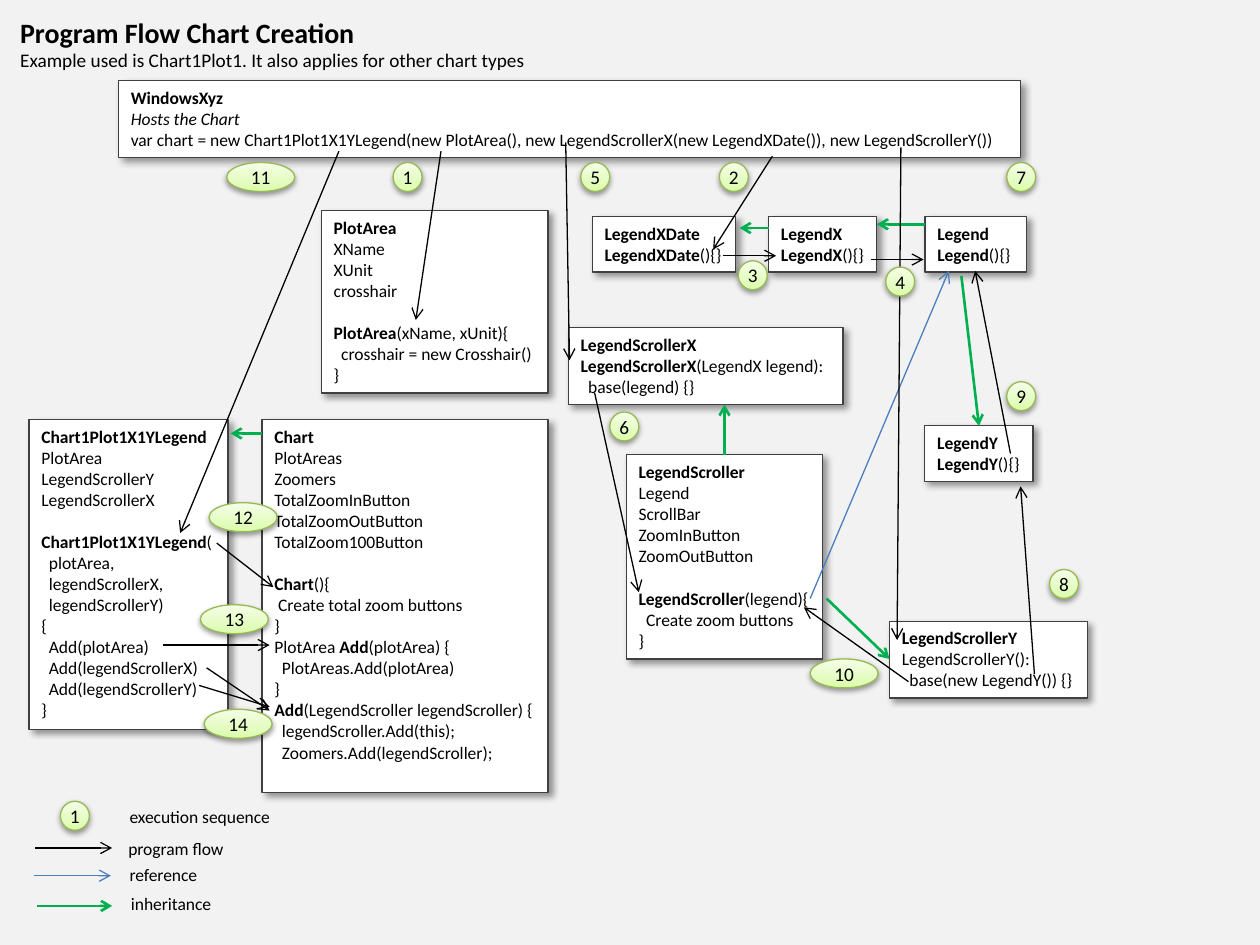
from typing import NamedTuple

from lxml import etree
from pptx import Presentation
from pptx import util as u
from pptx.dml.color import RGBColor
from pptx.enum import shapes, text
from pptx.oxml import ns

BACKGROUND = RGBColor(0xF2, 0xF2, 0xF2)
WHITE = RGBColor(0xFF, 0xFF, 0xFF)
BLACK = RGBColor(0x00, 0x00, 0x00)
BORDER = RGBColor(0x40, 0x40, 0x40)
BLUE = RGBColor(0x4B, 0x7E, 0xBC)
GREEN = RGBColor(0x00, 0xB0, 0x50)
BADGE_LINE = RGBColor(0x98, 0xB9, 0x55)
BADGE_STOPS = (
    (0, RGBColor(0xDA, 0xFD, 0xA7)),
    (35, RGBColor(0xE4, 0xFC, 0xC2)),
    (100, RGBColor(0xF5, 0xFF, 0xE7)),
)
FONT = "Calibri"
SPACE_WIDTH = 0.03
BADGE_HEIGHT = 0.23


class Box(NamedTuple):
    left: float
    top: float
    width: float
    height: float
    lines: str


class Kind(NamedTuple):
    color: RGBColor
    width: float


class Arrow(NamedTuple):
    kind: Kind
    x1: float
    y1: float
    x2: float
    y2: float


class Badge(NamedTuple):
    number: int
    left: float
    top: float


class Shadow(NamedTuple):
    alpha: int
    blur: float
    distance: float
    angle: int


FLOW = Kind(BLACK, 0.75)
REFERENCE = Kind(BLUE, 0.75)
INHERITANCE = Kind(GREEN, 1.5)
BOX_SHADOW = Shadow(40, 4, 3, 45)
BADGE_SHADOW = Shadow(38, 3.1, 1.6, 90)

# fmt: off
BOXES = [
    Box(2.08, 3.33, 2.27, 2.96, """*Chart*
PlotAreas
Zoomers
TotalZoomInButton
TotalZoomOutButton
TotalZoom100Button

*Chart*(){
 Create total zoom buttons
}
PlotArea *Add*(plotArea) {
  PlotAreas.Add(plotArea)
}
*Add*(LegendScroller legendScroller) {
  legendScroller.Add(this);
  Zoomers.Add(legendScroller);"""),
    Box(2.55, 1.67, 1.8, 1.45, """*PlotArea*
XName
XUnit
crosshair

*PlotArea*(xName, xUnit){
  crosshair = new Crosshair()
}"""),
    Box(6.1, 1.72, 0.86, 0.44, "*LegendX*\n*LegendX*(){}"),
    Box(4.7, 1.72, 1.14, 0.44, "*LegendXDate*\n*LegendXDate*(){}"),
    Box(4.97, 3.61, 1.56, 1.62, """*LegendScroller*
Legend
ScrollBar
ZoomInButton
ZoomOutButton

*LegendScroller*(legend){
  Create zoom buttons
}"""),
    Box(4.51, 2.6, 2.18, 0.61, """*LegendScrollerX*
*LegendScrollerX*(LegendX legend):
  base(legend) {}"""),
    Box(0.23, 3.33, 1.58, 2.46, """*Chart1Plot1X1YLegend*
PlotArea
LegendScrollerY
LegendScrollerX

*Chart1Plot1X1YLegend*(
  plotArea,
  legendScrollerX,
  legendScrollerY)
{
  Add(plotArea)
  Add(legendScrollerX)
  Add(legendScrollerY)
}"""),
    Box(0.94, 0.64, 7.16, 0.61, """*WindowsXyz*
_Hosts the Chart
var chart = new Chart1Plot1X1YLegend(new PlotArea(), new LegendScrollerX(new LegendXDate()), new LegendScrollerY())"""),
    Box(7.34, 1.72, 0.81, 0.44, "*Legend*\n*Legend*(){}"),
    Box(7.06, 4.93, 1.57, 0.61, """*LegendScrollerY*
LegendScrollerY():
  base(new LegendY()) {}"""),
    Box(7.34, 3.38, 0.86, 0.44, "*LegendY*\n*LegendY*(){}"),
]
KEY = [
    Box(0.93, 6.35, 1.34, 0.27, "execution sequence"),
    Box(0.92, 6.6, 1, 0.27, "program flow"),
    Box(0.93, 6.81, 0.76, 0.27, "reference"),
    Box(0.94, 7.04, 0.85, 0.27, "inheritance"),
]
ARROWS = [
    Arrow(FLOW, 0.28, 6.73, 0.89, 6.73), Arrow(REFERENCE, 0.27, 6.95, 0.88, 6.95),
    Arrow(INHERITANCE, 0.29, 7.19, 0.89, 7.19), Arrow(INHERITANCE, 2.08, 3.44, 1.83, 3.44),
    Arrow(FLOW, 2.69, 1.2, 1.43, 4.23), Arrow(FLOW, 3.5, 1.2, 3.3, 2.54),
    Arrow(INHERITANCE, 6.1, 1.81, 5.87, 1.81), Arrow(INHERITANCE, 7.34, 1.78, 6.96, 1.78),
    Arrow(FLOW, 1.72, 4.31, 2.17, 4.66), Arrow(FLOW, 5.74, 2.03, 6.16, 2.03),
    Arrow(FLOW, 6.91, 2.06, 7.33, 2.06), Arrow(FLOW, 6.13, 1.24, 5.66, 1.98),
    Arrow(FLOW, 4.49, 1.13, 4.52, 2.86), Arrow(REFERENCE, 6.43, 4.75, 7.53, 2.15),
    Arrow(FLOW, 4.72, 3.12, 5.07, 4.7), Arrow(INHERITANCE, 7.63, 2.19, 7.77, 3.38),
    Arrow(FLOW, 8.21, 5.35, 8.1, 3.86), Arrow(FLOW, 7.15, 1.17, 7.12, 5.08),
    Arrow(FLOW, 7.21, 5.41, 6.38, 4.82), Arrow(INHERITANCE, 5.75, 3.61, 5.75, 3.21),
    Arrow(INHERITANCE, 6.56, 4.75, 7.06, 5.23), Arrow(FLOW, 8.02, 3.6, 7.74, 2.15),
    Arrow(FLOW, 1.29, 5.12, 2.14, 5.12), Arrow(FLOW, 1.64, 5.3, 2.14, 5.64),
    Arrow(FLOW, 1.58, 5.44, 2.14, 5.61),
]
BADGES = [
    Badge(1, 3.12, 1.29), Badge(2, 5.71, 1.29), Badge(3, 5.86, 2.07), Badge(4, 7.03, 2.12),
    Badge(5, 4.61, 1.29), Badge(6, 4.84, 3.27), Badge(7, 7.99, 1.29), Badge(8, 8.33, 4.52),
    Badge(9, 7.99, 3.03), Badge(10, 6.43, 5.23), Badge(11, 1.8, 1.29), Badge(12, 1.66, 3.99),
    Badge(13, 1.59, 4.8), Badge(14, 1.62, 5.63), Badge(1, 0.48, 6.36),
]
# fmt: on


def style_font(font, size: float, bold: bool = False, italic: bool = False) -> None:
    font.name, font.size = FONT, u.Pt(size)
    font.bold, font.italic = bold, italic
    font.color.rgb = BLACK


def write_lines(tf, lines: str) -> None:
    tf.word_wrap = False
    tf.auto_size = text.MSO_AUTO_SIZE.NONE
    tf.vertical_anchor = text.MSO_ANCHOR.TOP
    p, gap = tf.paragraphs[0], False
    for i, line in enumerate(lines.split("\n")):
        if not line:
            gap = True
            continue
        if i:
            p = tf.add_paragraph()
        p.alignment = text.PP_ALIGN.LEFT
        if gap:
            p.space_before, gap = u.Pt(12.2), False
        body = line.lstrip(" ")
        if body != line:
            indent = u.Inches(SPACE_WIDTH * (len(line) - len(body)))
            p._p.get_or_add_pPr().set("marL", str(indent))
        for j, part in enumerate(body.lstrip("_").split("*")):
            if part:
                r = p.add_run()
                r.text = part
                style_font(r.font, 10, bold=j % 2 == 1, italic=body.startswith("_"))


def add_shadow(sp, shadow: Shadow) -> None:
    sp.shadow.inherit = False
    effects = sp._element.spPr.find(ns.qn("a:effectLst"))
    outer = etree.SubElement(
        effects, ns.qn("a:outerShdw"), blurRad=str(u.Pt(shadow.blur)),
        dist=str(u.Pt(shadow.distance)), dir=str(shadow.angle * 60000),
        algn="tl", rotWithShape="0")
    color = etree.SubElement(outer, ns.qn("a:srgbClr"), val=str(BLACK))
    etree.SubElement(color, ns.qn("a:alpha"), val=str(shadow.alpha * 1000))


def add_box(s, box: Box) -> None:
    sp = s.shapes.add_shape(shapes.MSO_SHAPE.RECTANGLE, *map(u.Inches, box[:4]))
    sp.fill.solid()
    sp.fill.fore_color.rgb = WHITE
    sp.line.color.rgb, sp.line.width = BORDER, u.Pt(0.75)
    add_shadow(sp, BOX_SHADOW)
    write_lines(sp.text_frame, box.lines)


def add_label(s, box: Box) -> None:
    write_lines(s.shapes.add_textbox(*map(u.Inches, box[:4])).text_frame, box.lines)


def add_arrow(s, arrow: Arrow) -> None:
    cx = s.shapes.add_connector(shapes.MSO_CONNECTOR.STRAIGHT, *map(u.Inches, arrow[1:]))
    cx.line.color.rgb, cx.line.width = arrow.kind.color, u.Pt(arrow.kind.width)
    etree.SubElement(cx.line._get_or_add_ln(), ns.qn("a:tailEnd"), type="arrow")
    etree.SubElement(cx._element.spPr, ns.qn("a:effectLst"))


def add_badge(s, badge: Badge) -> None:
    width = BADGE_HEIGHT if badge.number < 10 else 0.54
    sp = s.shapes.add_shape(
        shapes.MSO_SHAPE.OVAL, *map(u.Inches, (badge.left, badge.top, width, BADGE_HEIGHT)))
    grad = etree.Element(ns.qn("a:gradFill"), rotWithShape="1")
    stops = etree.SubElement(grad, ns.qn("a:gsLst"))
    for position, color in BADGE_STOPS:
        stop = etree.SubElement(stops, ns.qn("a:gs"), pos=str(position * 1000))
        etree.SubElement(stop, ns.qn("a:srgbClr"), val=str(color))
    etree.SubElement(grad, ns.qn("a:lin"), ang=str(270 * 60000), scaled="1")
    sp._element.spPr.insert(2, grad)
    sp.line.color.rgb, sp.line.width = BADGE_LINE, u.Pt(0.75)
    add_shadow(sp, BADGE_SHADOW)
    tf = sp.text_frame
    tf.margin_left = tf.margin_right = tf.margin_top = tf.margin_bottom = 0
    tf.word_wrap = False
    tf.vertical_anchor = text.MSO_ANCHOR.MIDDLE
    tf.text = str(badge.number)
    p = tf.paragraphs[0]
    p.alignment = text.PP_ALIGN.CENTER
    style_font(p.runs[0].font, 11)


def add_title(s) -> None:
    sp = s.shapes.title
    sp.left, sp.top, sp.width, sp.height = map(u.Inches, (0.06, 0.07, 4.23, 0.56))
    tf = sp.text_frame
    tf.text = ("Program Flow Chart Creation\n"
               "Example used is Chart1Plot1. It also applies for other chart types")
    tf.word_wrap = False
    tf.auto_size = text.MSO_AUTO_SIZE.NONE
    tf.vertical_anchor = text.MSO_ANCHOR.TOP
    for p, size, bold in zip(tf.paragraphs, (16, 11), (True, False)):
        p.alignment = text.PP_ALIGN.LEFT
        style_font(p.runs[0].font, size, bold)


def main() -> None:
    prs = Presentation()
    prs.slide_width, prs.slide_height = u.Inches(10), u.Inches(7.5)
    s = prs.slides.add_slide(prs.slide_layouts[5])
    s.background.fill.solid()
    s.background.fill.fore_color.rgb = BACKGROUND
    add_title(s)
    for draw, items in ((add_box, BOXES), (add_label, KEY),
                        (add_arrow, ARROWS), (add_badge, BADGES)):
        for item in items:
            draw(s, item)
    prs.save("out.pptx")


if __name__ == "__main__":
    main()
